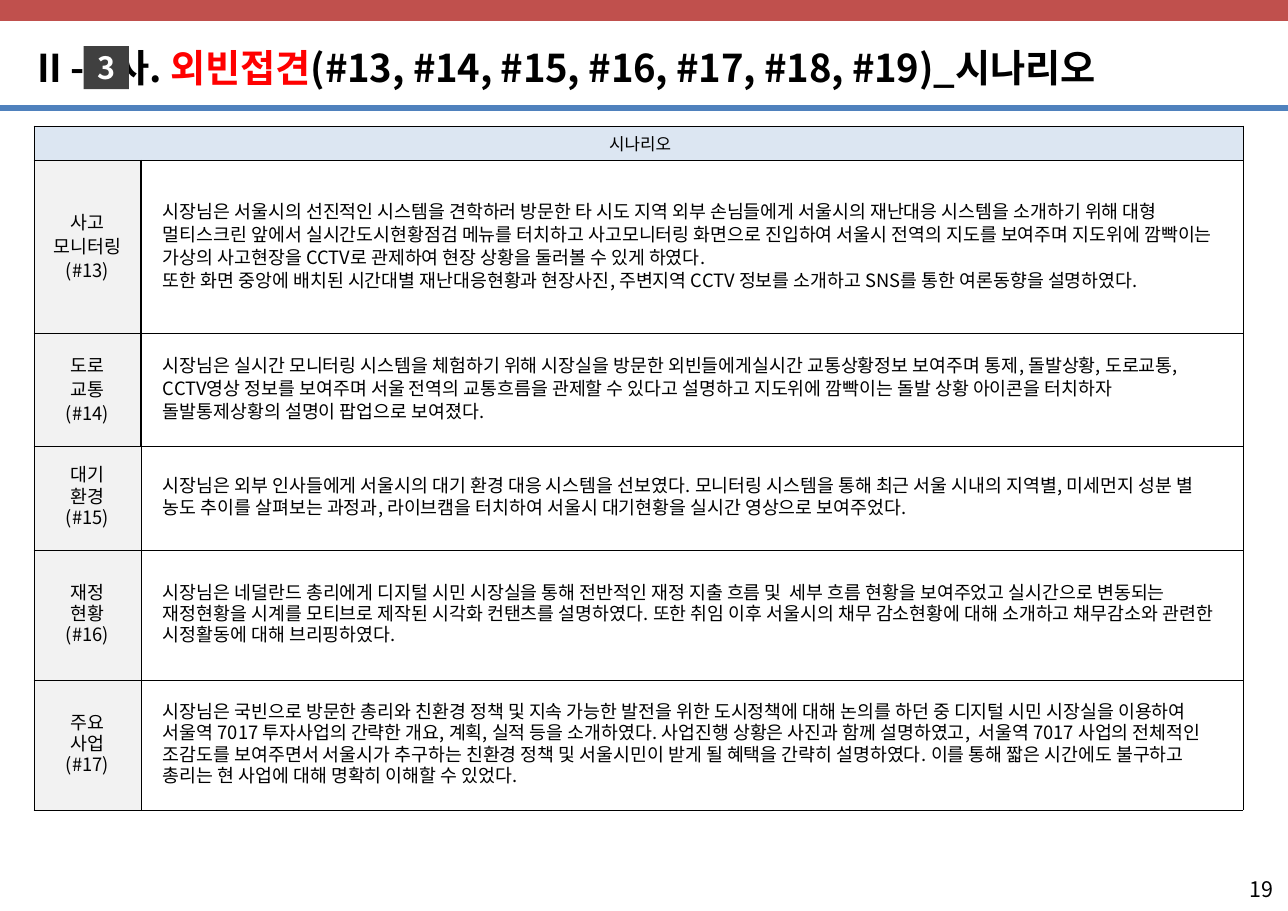
from lxml import etree
from pptx import Presentation
from pptx.dml.color import RGBColor
from pptx.enum.shapes import MSO_CONNECTOR, MSO_SHAPE
from pptx.enum.text import MSO_ANCHOR, PP_ALIGN
from pptx.oxml.ns import qn
from pptx.util import Pt

RECTANGLE = MSO_SHAPE.RECTANGLE
STRAIGHT = MSO_CONNECTOR.STRAIGHT
MIDDLE = MSO_ANCHOR.MIDDLE
LEFT, CENTER, RIGHT = PP_ALIGN.LEFT, PP_ALIGN.CENTER, PP_ALIGN.RIGHT

FONT = "Noto Sans CJK KR"
BLACK = RGBColor(0x00, 0x00, 0x00)
WHITE = RGBColor(0xFF, 0xFF, 0xFF)
RED = RGBColor(0xFF, 0x00, 0x00)
BAND_RED = RGBColor(0xC0, 0x50, 0x4D)
RULE_BLUE = RGBColor(0x4F, 0x81, 0xBD)
BADGE_GRAY = RGBColor(0x40, 0x40, 0x40)
HEADER_BLUE = RGBColor(0xDC, 0xE6, 0xF2)
LABEL_GRAY = RGBColor(0xF2, 0xF2, 0xF2)

PAGE_WIDTH, PAGE_HEIGHT = 841.68, 595.44
THIN, THICK = 0.25, 1

# Each row: height, label line spacing, body line spacing, label lines, body paragraphs
SCENARIOS = [
    (113.2, 16, 15, ["사고", "모니터링", "(#13)"], [
        "시장님은 서울시의 선진적인 시스템을 견학하러 방문한 타 시도 지역 외부 손님들에게 서울시의 재난대응 시스템을 "
        "소개하기 위해 대형 멀티스크린 앞에서 실시간도시현황점검 메뉴를 터치하고 사고모니터링 화면으로 진입하여 서울시 "
        "전역의 지도를 보여주며 지도위에 깜빡이는 가상의 사고현장을 CCTV로 관제하여 현장 상황을 둘러볼 수 있게 하였다.",
        "또한 화면 중앙에 배치된 시간대별 재난대응현황과 현장사진, 주변지역 CCTV 정보를 소개하고 SNS를 통한 "
        "여론동향을 설명하였다."]),
    (73.8, 16, 15, ["도로", "교통", "(#14)"], [
        "시장님은 실시간 모니터링 시스템을 체험하기 위해 시장실을 방문한 외빈들에게실시간 교통상황정보 보여주며 통제, "
        "돌발상황, 도로교통, CCTV영상 정보를 보여주며 서울 전역의 교통흐름을 관제할 수 있다고 설명하고 지도위에 "
        "깜빡이는 돌발 상황 아이콘을 터치하자 돌발통제상황의 설명이 팝업으로 보여졌다."]),
    (68, 14, 14, ["대기", "환경", "(#15)"], [
        "시장님은 외부 인사들에게 서울시의 대기 환경 대응 시스템을 선보였다. 모니터링 시스템을 통해 최근 서울 시내의 "
        "지역별, 미세먼지 성분 별 농도 추이를 살펴보는 과정과, 라이브캠을 터치하여 서울시 대기현황을 실시간 영상으로 "
        "보여주었다."]),
    (85, 14, 14, ["재정", "현황", "(#16)"], [
        "시장님은 네덜란드 총리에게 디지털 시민 시장실을 통해 전반적인 재정 지출 흐름 및  세부 흐름 현황을 보여주었고 "
        "실시간으로 변동되는 재정현황을 시계를 모티브로 제작된 시각화 컨탠츠를 설명하였다. 또한 취임 이후 서울시의 채무 "
        "감소현황에 대해 소개하고 채무감소와 관련한 시정활동에 대해 브리핑하였다."]),
    (85, 14, 14, ["주요", "사업", "(#17)"], [
        "시장님은 국빈으로 방문한 총리와 친환경 정책 및 지속 가능한 발전을 위한 도시정책에 대해 논의를 하던 중 디지털 "
        "시민 시장실을 이용하여 서울역 7017 투자사업의 간략한 개요, 계획, 실적 등을 소개하였다. 사업진행 상황은 사진과 "
        "함께 설명하였고,  서울역 7017 사업의 전체적인 조감도를 보여주면서 서울시가 추구하는 친환경 정책 및 서울시민이 "
        "받게 될 혜택을 간략히 설명하였다. 이를 통해 짧은 시간에도 불구하고 총리는 현 사업에 대해 명확히 이해할 수 있었다."]),
]


def add_span(para, text, size=12, color=BLACK, bold=False, align=LEFT, spacing=None):
    para.alignment = align
    if spacing:
        para.line_spacing = Pt(spacing)
    span = para.add_run()
    span.text = text
    span.font.size = Pt(size)
    span.font.bold = bold
    span.font.color.rgb = color
    span.font.name = FONT
    east_asian = etree.SubElement(span.font._element, qn("a:ea"))
    east_asian.set("typeface", FONT)
    return span


def fill_cell(cell, lines, fill, margin, borders, **text_format):
    cell.vertical_anchor = MIDDLE
    cell.margin_left = cell.margin_right = Pt(margin)
    cell.margin_top = cell.margin_bottom = 0
    properties = cell._tc.get_or_add_tcPr()
    for side, width in zip("LRTB", borders):
        border = etree.SubElement(properties, qn("a:ln" + side), w=str(Pt(width)))
        solid = etree.SubElement(border, qn("a:solidFill"))
        etree.SubElement(solid, qn("a:srgbClr"), val=str(BLACK))
    cell.fill.solid()
    cell.fill.fore_color.rgb = fill
    for index, line in enumerate(lines):
        frame = cell.text_frame
        para = frame.add_paragraph() if index else frame.paragraphs[0]
        add_span(para, line, **text_format)


deck = Presentation()
deck.slide_width, deck.slide_height = Pt(PAGE_WIDTH), Pt(PAGE_HEIGHT)
page = deck.slides.add_slide(deck.slide_layouts[6])
shapes = page.shapes

# Top band and rule under the title
band = shapes.add_shape(RECTANGLE, 0, 0, Pt(PAGE_WIDTH), Pt(13.7))
rule = shapes.add_connector(STRAIGHT, 0, Pt(70.6), Pt(PAGE_WIDTH), Pt(70.6))
rule.line.color.rgb = RULE_BLUE
rule.line.width = Pt(4.5)
etree.SubElement(rule._element.spPr, qn("a:effectLst"))

# Title, with a tab stop that leaves room for the number badge
title_box = shapes.add_textbox(Pt(15.8), Pt(25.2), Pt(810), Pt(37.4))
title_box.text_frame.word_wrap = True
title = title_box.text_frame.paragraphs[0]
title.space_before = Pt(2.7)
for text, color in [("II -\t- 사. ", BLACK), ("외빈접견", RED),
                    ("(#13, #14, #15, #16, #17, #18, #19)_시나리오", BLACK)]:
    span = add_span(title, text, size=25, color=color, bold=True)
    span.font._element.set("spc", "-10")
title_properties = title._p.get_or_add_pPr()
title_properties.set("marL", str(Pt(1.4)))
title_properties.set("indent", "0")
tab_list = etree.SubElement(title_properties, qn("a:tabLst"))
etree.SubElement(tab_list, qn("a:tab"), pos=str(Pt(60.5)), algn="l")

# Number badge
badge = shapes.add_shape(RECTANGLE, Pt(54.7), Pt(30.2), Pt(29.5), Pt(28.1))
badge.text_frame.vertical_anchor = MIDDLE
add_span(badge.text_frame.paragraphs[0], "3", size=20, color=WHITE, bold=True, align=CENTER)
for shape, color in [(band, BAND_RED), (badge, BADGE_GRAY)]:
    shape.shadow.inherit = False
    shape.fill.solid()
    shape.fill.fore_color.rgb = color
    shape.line.fill.background()

# Scenario table
HEADER_HEIGHT = 22.3
table_height = HEADER_HEIGHT + sum(row[0] for row in SCENARIOS)
table = shapes.add_table(len(SCENARIOS) + 1, 2, Pt(22.1), Pt(82.3), Pt(790), Pt(table_height)).table
table.first_row = table.horz_banding = False
table.columns[0].width, table.columns[1].width = Pt(70), Pt(720)
table.rows[0].height = Pt(HEADER_HEIGHT)
table.cell(0, 0).merge(table.cell(0, 1))
for column, lines in enumerate([[" 시나리오"], []]):
    fill_cell(table.cell(0, column), lines, HEADER_BLUE, 14.4, [THIN] * 4, size=11, align=CENTER)

for number, (height, label_spacing, body_spacing, label, body) in enumerate(SCENARIOS, 1):
    table.rows[number].height = Pt(height)
    divider = THICK if number <= 2 else THIN
    top = THICK if number == 2 else THIN
    bottom = THICK if number == 1 else THIN
    fill_cell(table.cell(number, 0), label, LABEL_GRAY, 0, [THIN, divider, top, bottom],
              align=CENTER, spacing=label_spacing)
    fill_cell(table.cell(number, 1), body, WHITE, 14.4, [divider, THIN, top, bottom],
              spacing=body_spacing)

# Page number
number_box = shapes.add_textbox(Pt(706.3), Pt(558.7), Pt(133.9), Pt(44.6))
number_box.text_frame.word_wrap = True
number_box.text_frame.vertical_anchor = MIDDLE
number_box.text_frame.margin_left = number_box.text_frame.margin_right = Pt(7.9)
add_span(number_box.text_frame.paragraphs[0], "19", size=14, align=RIGHT)

deck.save("out.pptx")
